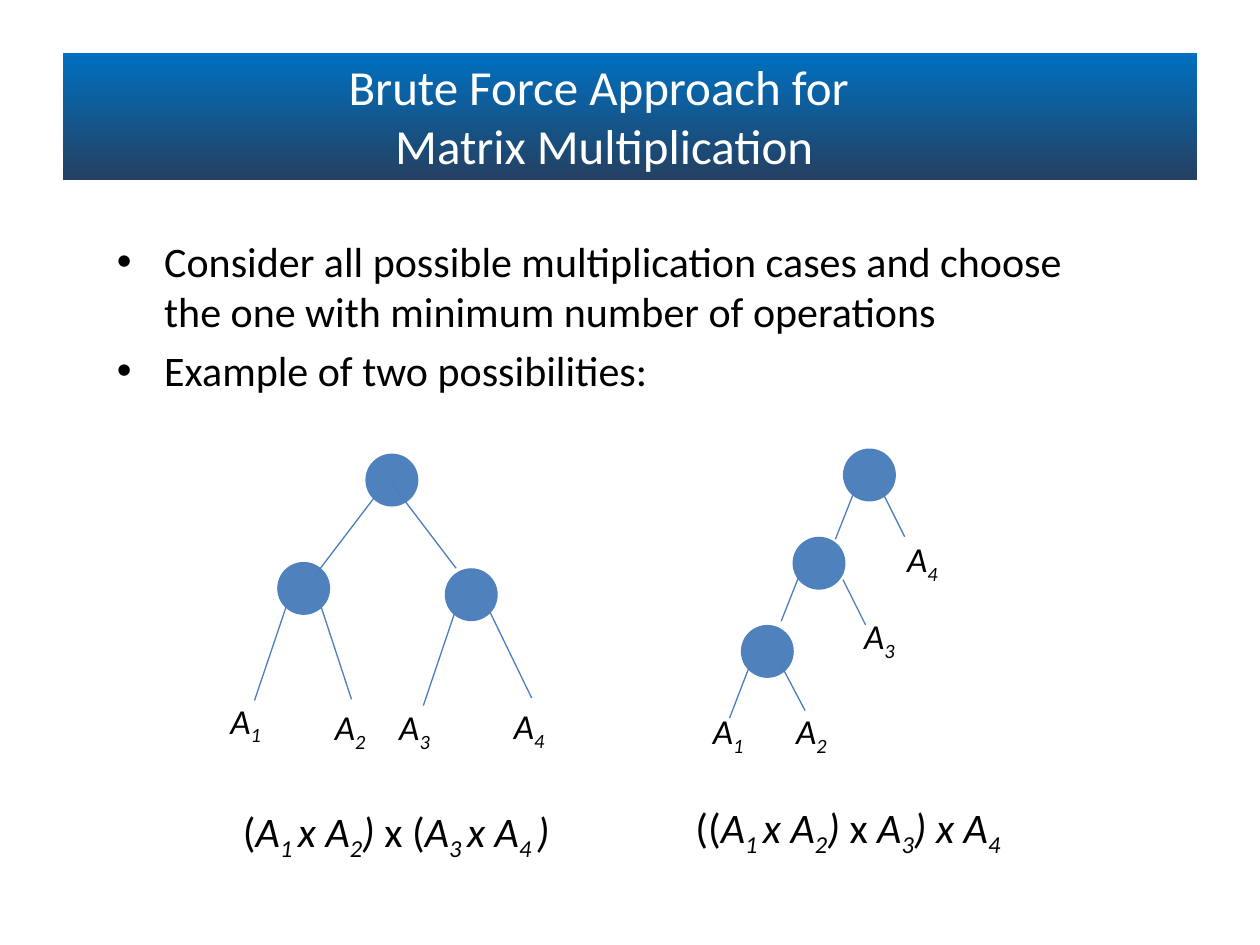
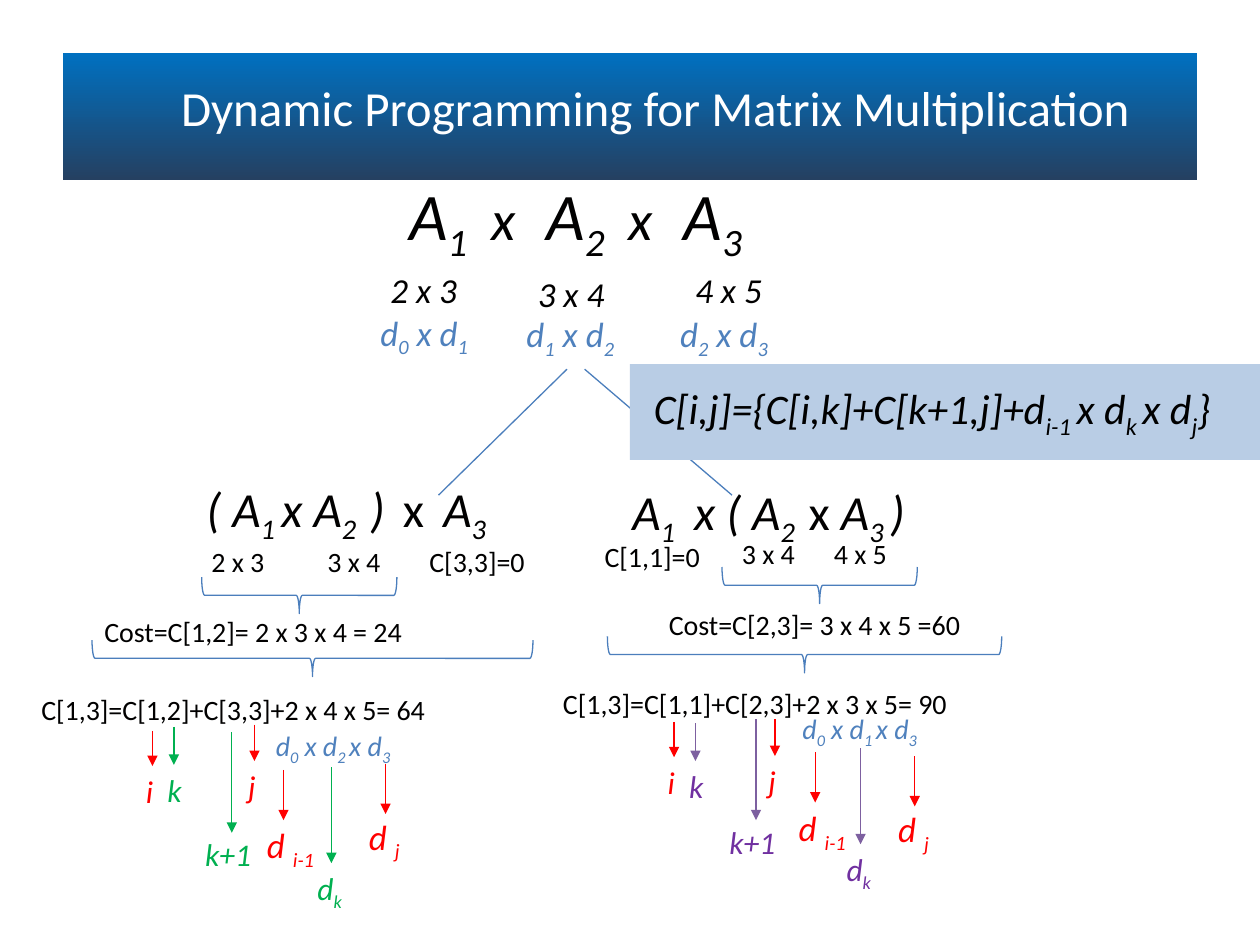
from dataclasses import dataclass

import pptx
import pptx.dml.color
import pptx.enum.shapes
import pptx.enum.text
import pptx.oxml.ns
import pptx.util
from lxml import etree

# Shared look: a grid of 100 columns by 75 rows on a 10 x 7.5 inch slide
COLUMNS = 100
SLIDE_WIDTH = pptx.util.Inches(10)
SLIDE_HEIGHT = pptx.util.Inches(7.5)
FONT = "Calibri"
BLACK, INK, WHITE = "000000", "010000", "FFFFFF"
BLUE, LINE_BLUE, PALE_BLUE = "4F81BD", "4B7EBC", "B9CDE5"
BAND_TOP, BAND_BOTTOM = "0070C0", "254061"
RED, GREEN, PURPLE, PURPLE_LINE = "FF0000", "00B050", "7030A0", "7D60A0"
NODE_SIZE = 4.2
SHAPES = pptx.enum.shapes.MSO_SHAPE


@dataclass
class Box:
    """An area measured in grid cells."""
    left: float
    top: float
    width: float
    height: float

    def inside(self, left, top, width, height):
        return Box(self.left + left, self.top + top, width, height)

    def lengths(self):
        return [cells(n) for n in (self.left, self.top, self.width, self.height)]


def cells(count):
    return round(count * SLIDE_WIDTH / COLUMNS)


def rgb(color):
    return pptx.dml.color.RGBColor.from_string(color)


def add_child(parent, tag, **attributes):
    child = etree.SubElement(parent, pptx.oxml.ns.qn(tag))
    for name, value in attributes.items():
        child.set(name, str(value))
    return child


# Text: ~subscript~ and |aside| are the two kinds of markup
def write(paragraph, markup, size, color=INK, italic=False, aside=None):
    font = paragraph.font
    font.name, font.size, font.italic = FONT, pptx.util.Pt(size), italic
    font.color.rgb = rgb(color)
    if "~" not in markup and "|" not in markup:
        paragraph.text = markup
        return
    for part_number, part in enumerate(markup.split("|")):
        for piece_number, piece in enumerate(part.split("~")):
            if not piece:
                continue
            run = paragraph.add_run()
            run.text = piece
            if part_number % 2:
                for name, value in (aside or {"italic": False}).items():
                    setattr(run.font, name, value)
            if piece_number % 2:
                run._r.get_or_add_rPr().set("baseline", "-25000")


def add_text_box(slide, box):
    frame = slide.shapes.add_textbox(*box.lengths()).text_frame
    frame.word_wrap = True
    return frame


def add_text(slide, box, markup, size, tabs=(), centered=False, **style):
    paragraph = add_text_box(slide, box).paragraphs[0]
    if centered:
        paragraph.alignment = pptx.enum.text.PP_ALIGN.CENTER
    if tabs:
        tab_list = add_child(paragraph._p.get_or_add_pPr(), "a:tabLst")
        for position in tabs:
            add_child(tab_list, "a:tab", pos=cells(position), algn="l")
    write(paragraph, markup, size, **style)


def add_bullets(slide, box, lines, size):
    frame = add_text_box(slide, box)
    for number, line in enumerate(lines):
        paragraph = frame.add_paragraph() if number else frame.paragraphs[0]
        properties = paragraph._p.get_or_add_pPr()
        properties.set("marL", str(cells(3.75)))
        properties.set("indent", str(cells(-3.75)))
        add_child(properties, "a:buFont", typeface="Arial")
        add_child(properties, "a:buChar", char="•")
        paragraph.space_before = pptx.util.Pt(size * 0.2)
        write(paragraph, line, size, BLACK)


# Shapes and lines
def add_shape(slide, kind, box, fill=None):
    shape = slide.shapes.add_shape(kind, *box.lengths())
    shape.shadow.inherit = False
    shape.line.fill.background()
    if fill:
        shape.fill.solid()
        shape.fill.fore_color.rgb = rgb(fill)
    else:
        shape.fill.background()
    return shape


def add_line(slide, start, end, color=LINE_BLUE, arrow=False):
    connector = slide.shapes.add_connector(
        pptx.enum.shapes.MSO_CONNECTOR.STRAIGHT,
        *[cells(n) for n in (*start, *end)])
    connector.line.color.rgb = rgb(color)
    connector.line.width = pptx.util.Pt(0.75)
    if arrow:
        add_child(connector.line._get_or_add_ln(), "a:tailEnd", type="triangle")
    add_child(connector._element.spPr, "a:effectLst")


def add_brace(slide, box):
    """A brace lying across the box with its tip down."""
    upright = box.inside((box.width - box.height) / 2,
                         (box.height - box.width) / 2, box.height, box.width)
    brace = add_shape(slide, SHAPES.RIGHT_BRACE, upright)
    brace.rotation = 90
    brace.line.color.rgb = rgb(LINE_BLUE)
    brace.line.width = pptx.util.Pt(0.75)


def add_titled_slide(presentation, title, title_box):
    slide = presentation.slides.add_slide(presentation.slide_layouts[6])
    band = add_shape(slide, SHAPES.RECTANGLE, Box(5, 4.2, 90, 10.1))
    band.fill.gradient()
    band.fill.gradient_angle = 270
    for stop, color in zip(band.fill.gradient_stops, (BAND_TOP, BAND_BOTTOM)):
        stop.color.rgb = rgb(color)
    add_text(slide, title_box, title, 28, color=WHITE, centered=True)
    return slide


# Slide 1: two multiplication trees, positions relative to each tree's box
BALANCED_TREE = {
    "nodes": [(11.7, 0), (4.7, 8.6), (18, 9.1)],
    "leaves": [(0, 19, "1"), (8.3, 19.5, "2"), (13.4, 19.5, "3"), (22.5, 19.4, "4")],
    "edges": [((12.4, 3.5), (7.6, 9.8)), ((13.8, 2.4), (18.9, 9.1)),
              ((5.4, 12.2), (2.9, 19.6)), ((8.2, 12.2), (10.6, 19.5)),
              ((18.8, 12.6), (16.3, 20)), ((21.6, 12.6), (24.9, 19.4))],
    "formula": (1, 27.4, "|(|A~1 ~x A~2~)| x (|A~3 ~x A~4 ~)"),
}
LEFT_DEEP_TREE = {
    "nodes": [(11.3, 0), (7.3, 7), (3.2, 14)],
    "leaves": [(0, 20.2, "1"), (6.6, 20.2, "2"), (12, 12.7, "3"), (15.4, 6.6, "4")],
    "edges": [((12.2, 3.4), (10.7, 7.2)), ((14.4, 3.4), (16.2, 7)),
              ((7.9, 9.9), (6.4, 13.7)), ((11.3, 10.4), (13.1, 14)),
              ((3.8, 17.5), (2.3, 21.4)), ((6.4, 17.2), (8.3, 20.8))],
    "formula": (-1.4, 27.5, "|((|A~1 ~x A~2~)| x |A~3~) x A~4~"),
}


def draw_tree(slide, box, tree):
    for left, top in tree["nodes"]:
        add_shape(slide, SHAPES.OVAL, box.inside(left, top, NODE_SIZE, NODE_SIZE), BLUE)
    for ends in tree["edges"]:
        add_line(slide, *[(box.left + x, box.top + y) for x, y in ends])
    for left, top, index in tree["leaves"]:
        add_text(slide, box.inside(left, top, 4.8, 4.4), f"A~{index}~", 20, italic=True)
    left, top, formula = tree["formula"]
    add_text(slide, box.inside(left, top, 28.1, 5), formula, 24, italic=True)


def build_brute_force(presentation):
    slide = add_titled_slide(
        presentation, "Brute Force Approach for \vMatrix Multiplication",
        Box(9.2, 4, 77.5, 10.4))
    add_bullets(slide, Box(8.3, 18.2, 81.4, 16), [
        "Consider all possible multiplication cases and choose \v"
        "the one with minimum number of operations",
        "Example of two possibilities:"], 24)
    draw_tree(slide, Box(17.3, 36, 28, 36), BALANCED_TREE)
    draw_tree(slide, Box(55.6, 35.6, 28, 36), LEFT_DEEP_TREE)


# Slide 2: the chain on top and the two ways to split it
MATRICES = [(30, 20.8, "2 x 3", 29.2, 24.2, "d~0~ x d~1~"),
            (41.7, 21.1, "3 x 4", 40.8, 24.3, "d~1~ x d~2~"),
            (54.2, 20.8, "4 x 5", 53, 24.3, "d~2~ x d~3~")]
# Name, size, arrow length, label shift from the arrow's tip, follows the split
MARKS = [("i", 18, 2.8, -1.5, 0, False), ("k", 18, 3, -1.5, 0, True),
         ("k+1", 18, 8, -3.1, -0.3, True), ("j", 18, 2.9, -1.5, 0, False),
         ("d ~i-1~", 20, 4, -2.3, -0.2, False), ("d~k~", 18, 7.6, -2.1, 0, True),
         ("d ~j~", 20, 4, -2.3, -0.4, False)]
SPLIT_AFTER_SECOND = {
    "expression": (13.4, 0, "( A~1 ~x A~2~\t)\t|x|\tA~3~", (13, 15.6, 18.8)),
    "labels": [(13.8, 5.2, "2 x 3"), (23, 5.2, "3 x 4"), (31.1, 5.2, "C[3,3]=0"),
               (5.3, 10.8, "Cost=C[1,2]= 2 x 3 x 4 = 24"),
               (0.3, 17, "C[1,3]=C[1,2]+C[3,3]+2 x 4 x 5= 64")],
    "dimensions": (18.9, 19.8, "d~0~ x d~2 ~x d~3~"),
    "braces": [(14, 8.3, 15.5), (5.3, 13.3, 35)],
    "marks": [(10.1, 20.5), (11.8, 20.2), (16.4, 20.6), (18.2, 20),
              (20.5, 23.6), (24.3, 23.4), (28.6, 23.1)],
    "split_colors": (GREEN, GREEN),
}
SPLIT_AFTER_FIRST = {
    "expression": (6.2, 0.2, "A~1~\tx ( A~2~\t|x |A~3 ~)", (4.9, 14)),
    "labels": [(4, 4.8, "C[1,1]=0"), (14.9, 4.6, "3 x 4"), (22.2, 4.6, "4 x 5"),
               (9.1, 10.2, "Cost=C[2,3]= 3 x 4 x 5 =60"),
               (0.7, 16.5, "C[1,3]=C[1,1]+C[2,3]+2 x 3 x 5= 90")],
    "dimensions": (19.7, 18.5, "d~0~ x d~1 ~x d~3~"),
    "braces": [(14.3, 7.5, 15.5), (5.2, 13, 31.3)],
    "marks": [(10.5, 19.8), (12.2, 19.9), (17, 19.6), (18.5, 19.6),
              (21.7, 22.2), (25.3, 21.9), (29.6, 22.5)],
    "split_colors": (PURPLE, PURPLE_LINE),
}


def draw_chain(slide):
    add_text(slide, Box(31.5, 13.3, 50, 7.4), "A~1~\t|x|\tA~2~\t|x|\tA~3~", 38,
             tabs=(6.5, 10.9, 17.4, 21.8), italic=True,
             aside={"size": pptx.util.Pt(32)})
    for left, top, shape_text, d_left, d_top, d_text in MATRICES:
        add_text(slide, Box(left, top, 9.2, 4.4), shape_text, 20, italic=True)
        add_text(slide, Box(d_left, d_top, 11.2, 4.4), d_text, 20,
                 color=BLUE, italic=True)
    add_line(slide, (45, 29.3), (34.8, 39.3))
    add_line(slide, (46.4, 29.3), (58.1, 39.3))


def draw_split(slide, box, split):
    left, top, expression, tabs = split["expression"]
    add_text(slide, box.inside(left, top, 26, 5.7), expression, 28,
             tabs=tabs, italic=True)
    for left, top, label in split["labels"]:
        width = 35 if "= " in label or " =" in label else 10.4
        add_text(slide, box.inside(left, top, width, 3.7), label, 16)
    for left, top, width in split["braces"]:
        add_brace(slide, box.inside(left, top, width, 2.9))
    left, top, dimensions = split["dimensions"]
    add_text(slide, box.inside(left, top, 15.2, 3.7), dimensions, 16,
             color=BLUE, italic=True)
    # Arrows from the cost terms to the names of their indices
    for (x, y), mark in zip(split["marks"], MARKS):
        name, size, length, shift_x, shift_y, follows_split = mark
        color, line_color = split["split_colors"] if follows_split else (RED, RED)
        tip = box.inside(x, y + length, 0, 0)
        add_line(slide, (tip.left, tip.top - length), (tip.left, tip.top),
                 line_color, arrow=True)
        add_text(slide, tip.inside(shift_x, shift_y, 6.5, 4.2), name, size,
                 color=color, italic=True)


def draw_recurrence(slide, box):
    add_shape(slide, SHAPES.RECTANGLE, box, PALE_BLUE)
    add_text(slide, box.inside(0.9, 1, box.width - 0.9, 5),
             "C[i,j]={C[i,k]+C[k+1,j]+d~i-1 ~x d~k ~x d~j~}", 24,
             color=BLACK, italic=True)


def build_dynamic_programming(presentation):
    slide = add_titled_slide(
        presentation, "Dynamic Programming for Matrix Multiplication",
        Box(6.6, 5.7, 90.8, 5.7))
    draw_chain(slide)
    draw_split(slide, Box(2, 37.5, 41, 36), SPLIT_AFTER_SECOND)
    draw_split(slide, Box(43, 37.5, 41, 36), SPLIT_AFTER_FIRST)
    draw_recurrence(slide, Box(50, 28.9, 50, 7.6))


def main():
    presentation = pptx.Presentation()
    presentation.slide_width = SLIDE_WIDTH
    presentation.slide_height = SLIDE_HEIGHT
    build_brute_force(presentation)
    build_dynamic_programming(presentation)
    presentation.save("out.pptx")


if __name__ == "__main__":
    main()
